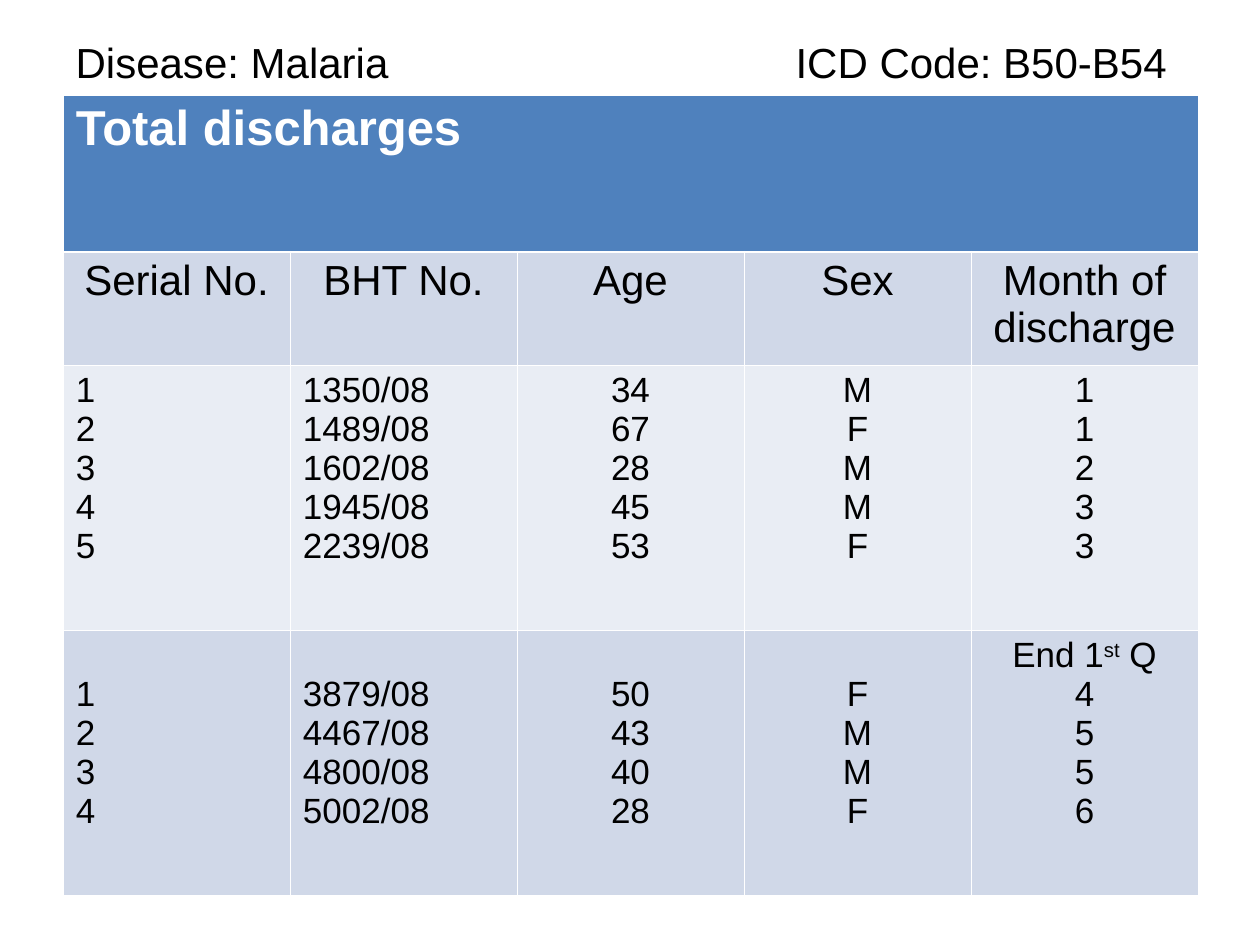
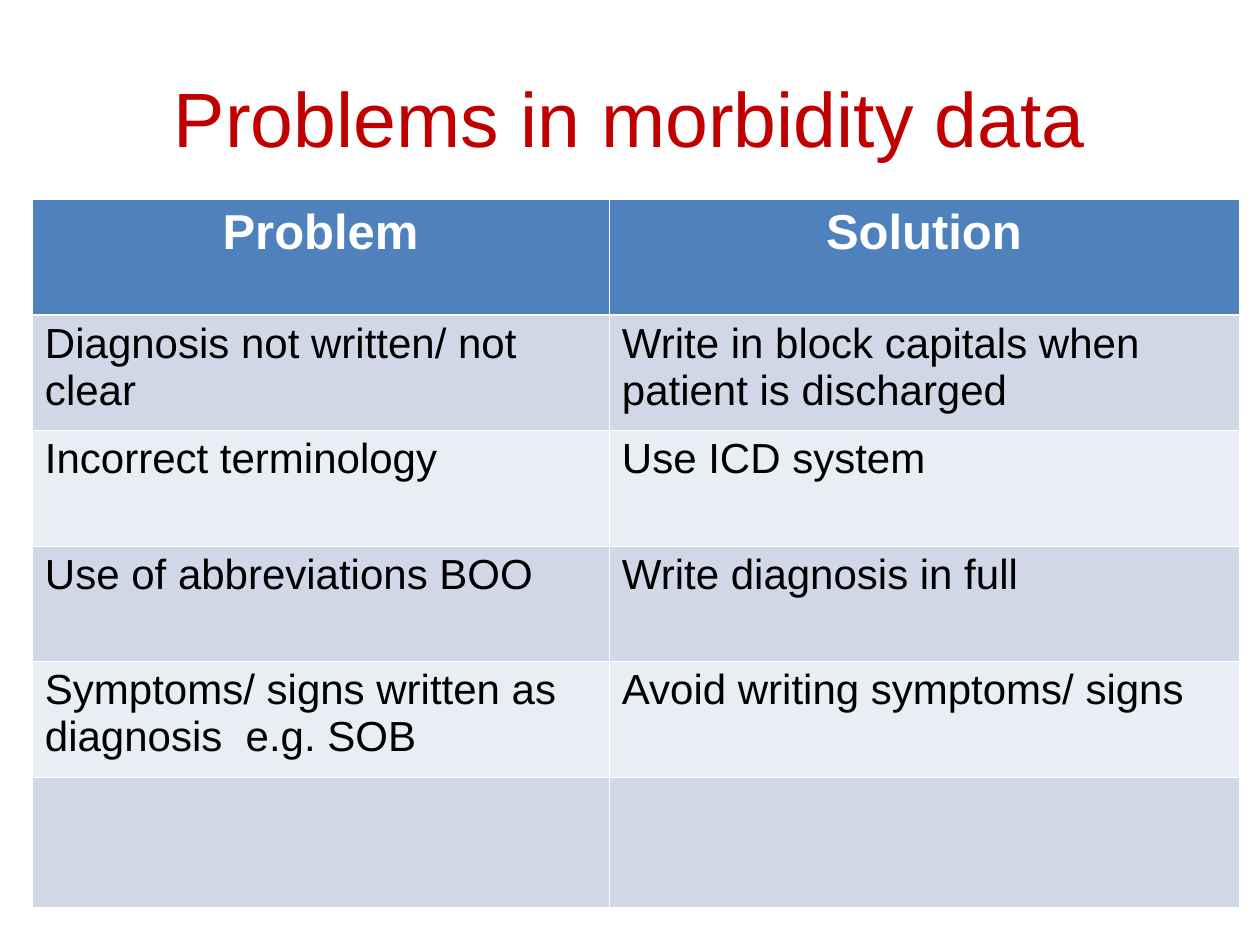
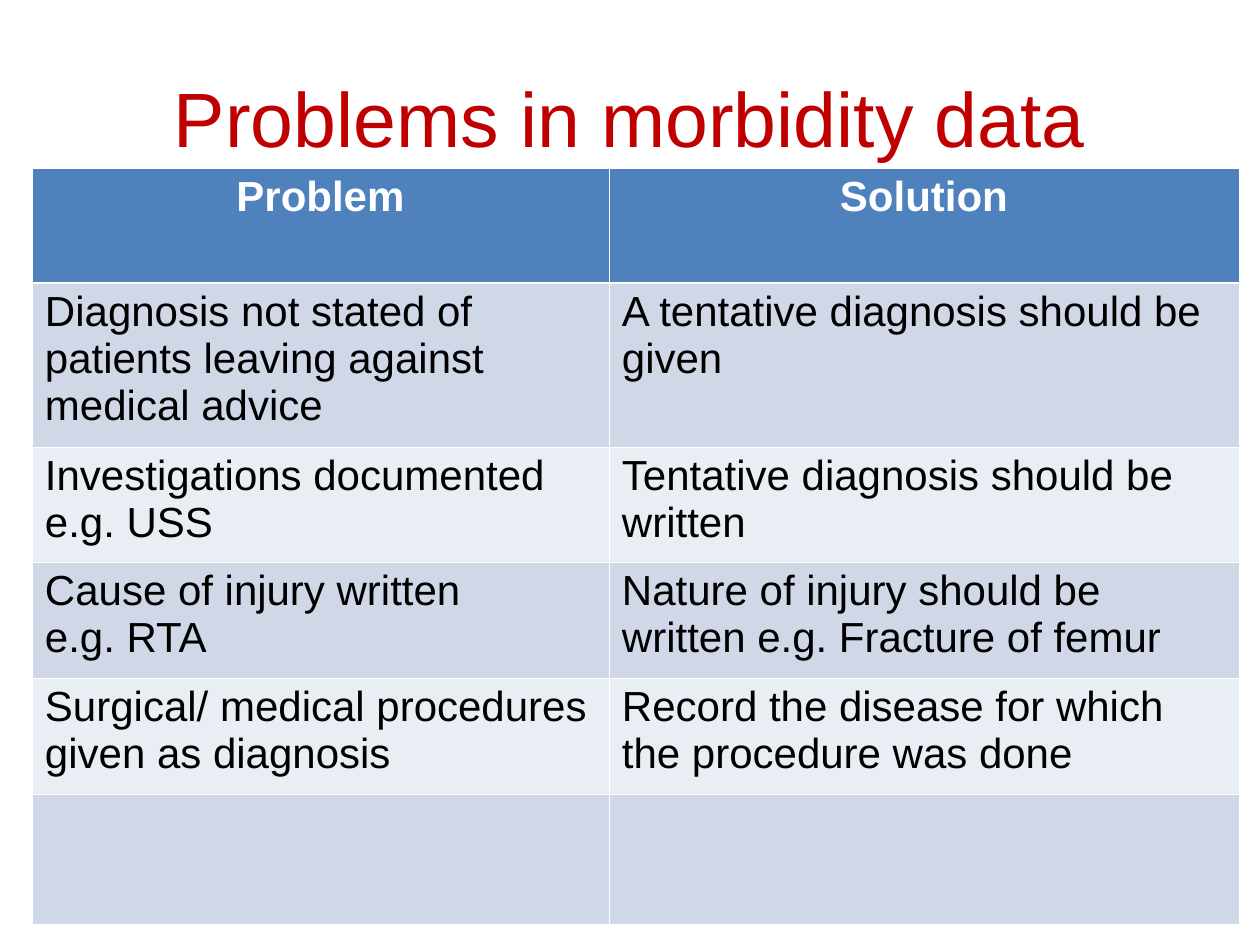
from lxml import etree
from pptx import Presentation
from pptx.dml.color import RGBColor
from pptx.enum.text import MSO_ANCHOR, MSO_AUTO_SIZE, PP_ALIGN
from pptx.oxml.ns import qn
from pptx.util import Emu, Pt

LEFT, CENTER = PP_ALIGN.LEFT, PP_ALIGN.CENTER
MIDDLE, NO_FIT = MSO_ANCHOR.MIDDLE, MSO_AUTO_SIZE.NONE
SCALE = 914400 / 126
FONT = "Arial"
BLACK, WHITE, RED = "000000", "FFFFFF", "C00000"
BLUE, BAND_DARK, BAND_LIGHT = "4F81BD", "D0D8E8", "E9EDF4"
THIN, THICK = 0.45, 1.47
PAD_X, PAD_Y, LINE_20PT = 13, 6, 39
TITLE_ONLY = 5
TITLE_BOX = (63, 38, 1134, 157)
PROBLEM_COLS = [577, 630]


def px(n):
    """Turn pixels into EMU."""
    return Emu(round(n * SCALE))


def rgb(value):
    """Turn a hex string into a colour."""
    return RGBColor.from_string(value)


def style(font, size, color, bold=False):
    """Apply the shared font with a size, colour and weight."""
    for name, value in dict(name=FONT, size=Pt(size), bold=bold).items():
        setattr(font, name, value)
    font.color.rgb = rgb(color)


def write(tf, lines, size, color, align=LEFT, bold=False):
    """Write one paragraph per line; text between ^ marks is superscript."""
    for i, line in enumerate(lines):
        p = tf.paragraphs[0] if i == 0 else tf.add_paragraph()
        p.alignment = align
        for j, part in enumerate(line.split("^")):
            r = p.add_run()
            r.text = part
            style(r.font, size, color, bold)
            if j % 2:
                r._r.get_or_add_rPr().set("baseline", "30000")


def add_title(s, box, text, size, color, align, tab=None):
    """Place and format the title placeholder, with an optional tab stop."""
    sp = s.shapes.title
    sp.left, sp.top, sp.width, sp.height = map(px, box)
    tf = sp.text_frame
    settings = dict(word_wrap=True, auto_size=NO_FIT, vertical_anchor=MIDDLE)
    for name, value in settings.items():
        setattr(tf, name, value)
    if tab:
        tabs = etree.SubElement(tf.paragraphs[0]._p.get_or_add_pPr(), qn("a:tabLst"))
        etree.SubElement(tabs, qn("a:tab"), pos=str(px(tab)), algn="l")
    write(tf, [text], size, color, align)


def set_borders(cell, row):
    """Draw white cell borders, thicker below the header row."""
    tcPr = cell._tc.get_or_add_tcPr()
    widths = dict(lnL=THIN, lnR=THIN, lnT=THICK if row == 1 else THIN,
                  lnB=THICK if row == 0 else THIN)
    for i, (tag, width) in enumerate(widths.items()):
        ln = etree.Element(qn("a:" + tag), w=str(Pt(width)))
        fill = etree.SubElement(ln, qn("a:solidFill"))
        etree.SubElement(fill, qn("a:srgbClr"), val=WHITE)
        tcPr.insert(i, ln)


def add_banded_table(s, left, top, cols, rows):
    """Add an empty table with a blue header and alternating bands."""
    box = map(px, (left, top, sum(cols), sum(rows)))
    table = s.shapes.add_table(len(rows), len(cols), *box).table
    table.horz_banding = False
    for column, width in zip(table.columns, cols):
        column.width = px(width)
    for i, (row, height) in enumerate(zip(table.rows, rows)):
        row.height = px(height)
        for cell in row.cells:
            cell.margin_left = cell.margin_right = px(PAD_X)
            cell.margin_top = cell.margin_bottom = px(PAD_Y)
            cell.fill.solid()
            color = BLUE if i == 0 else BAND_DARK if i % 2 else BAND_LIGHT
            cell.fill.fore_color.rgb = rgb(color)
            set_borders(cell, i)
    return table


def discharge_slide(prs):
    """Build the register of discharges for one disease."""
    s = prs.slides.add_slide(prs.slide_layouts[TITLE_ONLY])
    add_title(s, (63, 32, 1134, 59), "Disease: Malaria\tICD Code: B50-B54",
              24, BLACK, LEFT, tab=720)
    table = add_banded_table(s, 63, 95, [227] * 5, [157, 113, 265, 265])
    table.cell(0, 0).merge(table.cell(0, 4))
    write(table.cell(0, 0).text_frame, ["Total discharges"], 28, WHITE, bold=True)
    headings = ["Serial No.", "BHT No.", "Age", "Sex", "Month of discharge"]
    for c, heading in enumerate(headings):
        write(table.cell(1, c).text_frame, [heading], 24, BLACK, CENTER)
    quarters = [
        ["1 2 3 4 5", "1350/08 1489/08 1602/08 1945/08 2239/08",
         "34 67 28 45 53", "M F M M F", "1 1 2 3 3"],
        ["1 2 3 4", "3879/08 4467/08 4800/08 5002/08",
         "50 43 40 28", "F M M F", "4 5 5 6"],
    ]
    for q, columns in enumerate(quarters):
        for c, values in enumerate(columns):
            cell = table.cell(q + 2, c)
            lines = values.split()
            if q == 1 and c == 4:
                lines.insert(0, "End 1^st^ Q")
            elif q == 1:
                cell.margin_top = px(PAD_Y + LINE_20PT)
            write(cell.text_frame, lines, 20, BLACK, LEFT if c < 2 else CENTER)


def problem_slide(prs, top, heights, heading_size, pairs):
    """Build a slide that sets problems beside their solutions."""
    s = prs.slides.add_slide(prs.slide_layouts[TITLE_ONLY])
    add_title(s, TITLE_BOX, "Problems in morbidity data", 44, RED, CENTER)
    table = add_banded_table(s, 32, top, PROBLEM_COLS, heights)
    for c, heading in enumerate(["Problem", "Solution"]):
        write(table.cell(0, c).text_frame, [heading], heading_size, WHITE, CENTER, True)
    for i, pair in enumerate(pairs, 1):
        for c, text in enumerate(pair):
            write(table.cell(i, c).text_frame, text.split("\n"), 24, BLACK)


def main():
    """Build and save the deck."""
    prs = Presentation()
    prs.slide_width, prs.slide_height = px(1260), px(945)
    discharge_slide(prs)
    problem_slide(prs, 199, [116, 115, 116, 115, 116, 130], 28, [
        ("Diagnosis not written/ not clear",
         "Write in block capitals when patient is discharged"),
        ("Incorrect terminology", "Use ICD system"),
        ("Use of abbreviations BOO", "Write diagnosis in full"),
        ("Symptoms/ signs written as diagnosis  e.g. SOB",
         "Avoid writing symptoms/ signs"),
    ])
    problem_slide(prs, 168, [115, 164, 115, 116, 116, 130], 24, [
        ("Diagnosis not stated of patients leaving against medical advice",
         "A tentative diagnosis should be given"),
        ("Investigations documented e.g. USS",
         "Tentative diagnosis should be written"),
        ("Cause of injury written\ne.g. RTA",
         "Nature of injury should be written e.g. Fracture of femur"),
        ("Surgical/ medical procedures given as diagnosis",
         "Record the disease for which the procedure was done"),
    ])
    prs.save("out.pptx")


if __name__ == "__main__":
    main()
